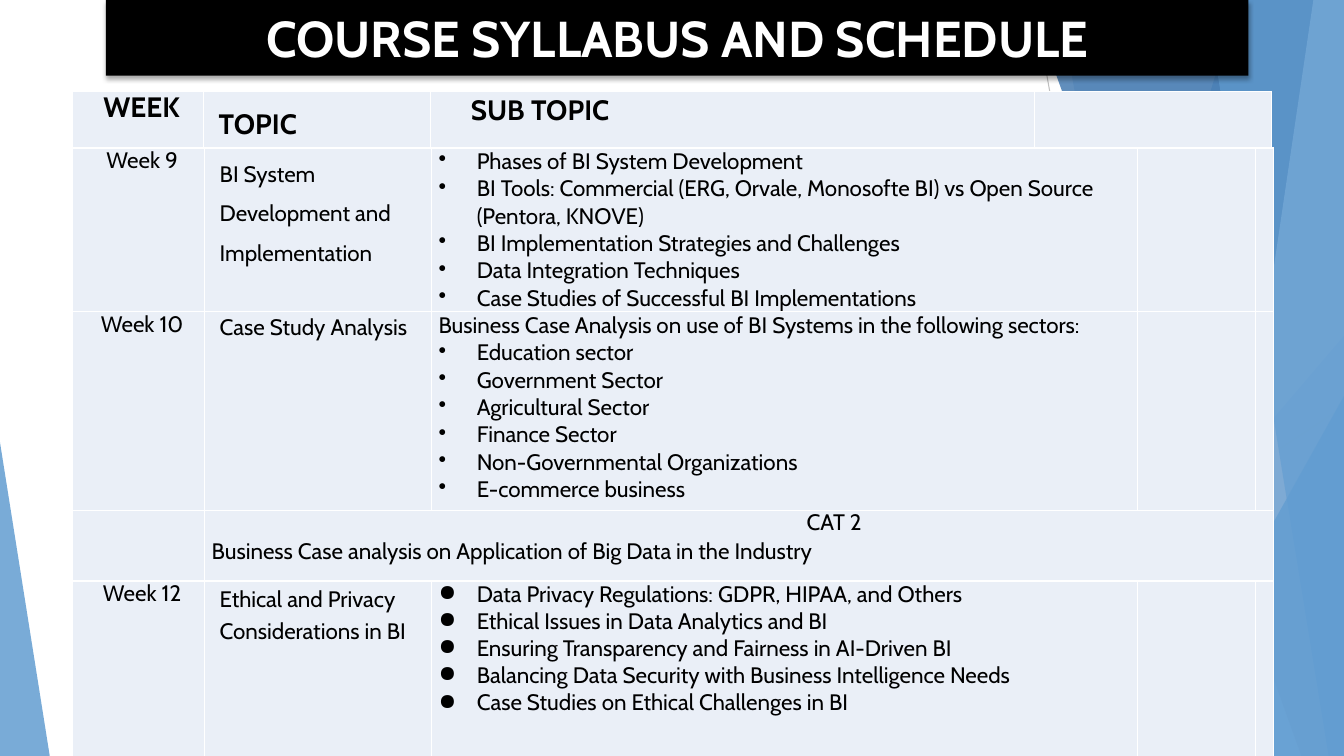
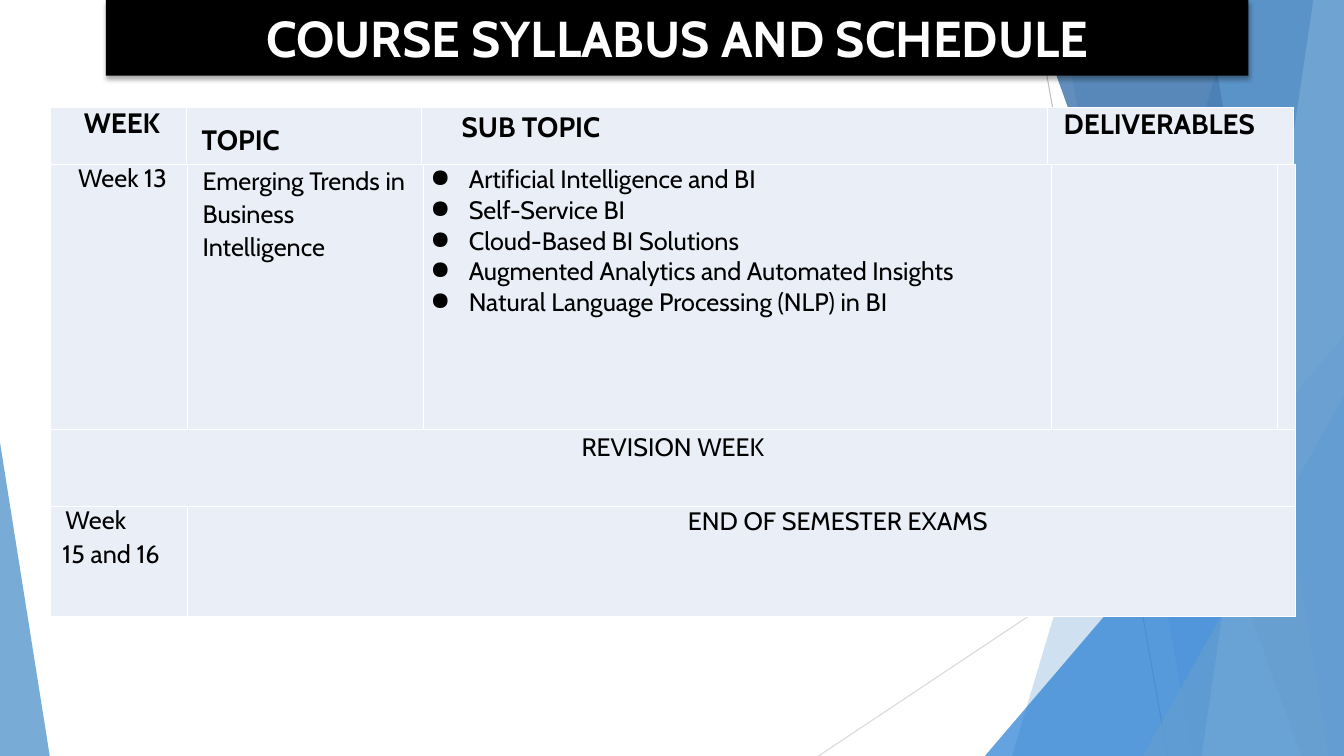
from dataclasses import dataclass
from typing import Optional

from lxml import etree
from pptx import Presentation
from pptx import util as u
from pptx.dml.color import RGBColor
from pptx.enum import shapes, text
from pptx.oxml import ns

WHITE = RGBColor(0xFF, 0xFF, 0xFF)
BLACK = RGBColor(0x00, 0x00, 0x00)
CELL = RGBColor(0xEA, 0xEF, 0xF7)
SKY = RGBColor(0x62, 0x9D, 0xD1)
AZURE = RGBColor(0x29, 0x7F, 0xD5)
NAVY = RGBColor(0x1F, 0x5F, 0xA0)
PALE = RGBColor(0xA1, 0xC4, 0xE3)
GREY = RGBColor(0xBF, 0xBF, 0xBF)
LIGHT_GREY = RGBColor(0xD9, 0xD9, 0xD9)

FONT = "Cabin"
TITLE = "COURSE SYLLABUS AND SCHEDULE"
SLIDE_W, SLIDE_H = u.Inches(13.33), u.Inches(7.5)
HEADER_H = 7.47
CENTER = text.PP_ALIGN.CENTER

# Places are percentages of the slide's width and height.
RAYS = [((76.9, 0), (86.88, 100), GREY), ((100, 53.73), (60.9, 100), LIGHT_GREY)]
# Left edge at the top and at the bottom; every pane reaches the right side.
BACK_PANES = [(92.1, 75.3, SKY, 30), (78.75, 88.75, SKY, 20)]
FRONT_PANES = [(76.58, 96.83, NAVY, 70), (97.72, 89.4, PALE, 70), (89.7, 98.85, SKY, 65)]


@dataclass
class Para:
    """One paragraph of a cell; left and hang are inches, before is points."""
    words: str
    left: float = 0
    spacing: float = 1
    before: float = 0
    align: Optional[int] = None
    hang: float = 0
    bullet: str = ""


def px(share):
    return round(SLIDE_W * share / 100)


def py(share):
    return round(SLIDE_H * share / 100)


def child(parent, tag, **attributes):
    return etree.SubElement(parent, ns.qn(tag), attributes)


def paint(shape, color, opacity=100):
    shape.shadow.inherit = False
    shape.line.fill.background()
    shape.fill.solid()
    shape.fill.fore_color.rgb = color
    if opacity < 100:
        tint = shape._element.spPr.find(".//" + ns.qn("a:srgbClr"))
        child(tint, "a:alpha", val=str(opacity * 1000))


def add_ray(slide, start, end, color):
    ray = slide.shapes.add_connector(
        shapes.MSO_CONNECTOR.STRAIGHT, px(start[0]), py(start[1]), px(end[0]), py(end[1]))
    ray.line.color.rgb = color
    ray.line.width = u.Pt(0.75)
    child(ray._element.spPr, "a:effectLst")


def add_pane(slide, top_x, bottom_x, color, opacity):
    outline = slide.shapes.build_freeform(px(top_x), 0, scale=1.0)
    outline.add_line_segments([(SLIDE_W, 0), (SLIDE_W, SLIDE_H), (px(bottom_x), SLIDE_H)])
    paint(outline.convert_to_shape(), color, opacity)


def add_wedge(slide, left, right, top, apex, color, opacity):
    """Triangle standing on the bottom edge of the slide."""
    wedge = slide.shapes.add_shape(
        shapes.MSO_SHAPE.ISOSCELES_TRIANGLE, px(left), py(top), px(right - left), py(100 - top))
    wedge.adjustments[0] = apex
    paint(wedge, color, opacity)


def add_backdrop(slide):
    for ray in RAYS:
        add_ray(slide, *ray)
    for pane in BACK_PANES:
        add_pane(slide, *pane)
    add_wedge(slide, 73.28, 100, 44.4, 1, AZURE, 72)
    for pane in FRONT_PANES:
        add_pane(slide, *pane)
    add_wedge(slide, 85.05, 100, 52.4, 1, SKY, 80)
    add_wedge(slide, 0, 3.7, 58.53, 0, SKY, 85)


def style_run(run, size, color, bold=False):
    run.font.name = FONT
    run.font.size = u.Pt(size)
    run.font.bold = bold
    run.font.color.rgb = color


def add_title_band(slide):
    band = slide.shapes.add_shape(
        shapes.MSO_SHAPE.RECTANGLE, px(7.88), 0, px(85), py(10))
    paint(band, BLACK)
    effects = band._element.spPr.find(ns.qn("a:effectLst"))
    shadow = child(effects, "a:outerShdw", blurRad=str(u.Pt(3.5)), dist=str(u.Pt(2.2)),
                   dir="5400000", algn="t", rotWithShape="0")
    child(child(shadow, "a:srgbClr", val=str(BLACK)), "a:alpha", val="32000")
    frame = band.text_frame
    frame.margin_top = frame.margin_bottom = 0
    frame.vertical_anchor = text.MSO_ANCHOR.MIDDLE
    frame.text = TITLE
    frame.paragraphs[0].alignment = CENTER
    style_run(frame.paragraphs[0].runs[0], 36, WHITE, True)


def style_cell(cell):
    cell.margin_left = cell.margin_right = u.Inches(0.07)
    cell.margin_top = cell.margin_bottom = 0
    cell.fill.solid()
    cell.fill.fore_color.rgb = CELL
    props = cell._tc.get_or_add_tcPr()
    for place, side in enumerate(("a:lnL", "a:lnR", "a:lnT", "a:lnB")):
        border = child(props, side, w=str(u.Pt(1)))
        child(child(border, "a:solidFill"), "a:srgbClr", val=str(WHITE))
        props.insert(place, border)


def write_cell(cell, paras, size, bold):
    frame = cell.text_frame
    frame.text = "\n".join(para.words for para in paras)
    for para, line in zip(paras, frame.paragraphs):
        line.alignment = para.align
        line.line_spacing = para.spacing
        line.space_before = u.Pt(para.before)
        props = line._p.get_or_add_pPr()
        props.set("marL", str(u.Inches(para.left)))
        props.set("indent", str(u.Inches(-para.hang)))
        if para.bullet:
            child(props, "a:buChar", char=para.bullet)
        for run in line.runs:
            style_run(run, size, BLACK, bold)


def add_grid(slide, box, widths, heights, rows, size, bold=False):
    """Table filling box; a row shorter than the grid spans its last cell to the end."""
    left, top, width, height = box
    grid = slide.shapes.add_table(
        len(heights), len(widths), px(left), py(top), px(width), py(height)).table
    grid.first_row = grid.horz_banding = False
    for column, share in zip(grid.columns, widths):
        column.width = round(px(width) * share / sum(widths))
    for row, share in zip(grid.rows, heights):
        row.height = round(py(height) * share / sum(heights))
    for cell in grid.iter_cells():
        style_cell(cell)
    for r, row in enumerate(rows):
        if len(row) < len(widths):
            grid.cell(r, len(row) - 1).merge(grid.cell(r, len(widths) - 1))
        for c, paras in enumerate(row):
            if paras:
                write_cell(grid.cell(r, c), paras, size, bold)


def week(words):
    return [Para(words, 0.07, 0.95, align=CENTER)]


def topic(words, spacing=1.07, before=1.6):
    return [Para(words, 0.08, spacing, before)]


def bullets(mark, spacing, *lines):
    return [Para(line, 0.38, spacing, hang=0.38, bullet=mark) for line in lines]


def add_schedule_slide(deck, box, header_widths, widths, heights, rows, size, last_heading=()):
    slide = deck.slides.add_slide(deck.slide_layouts[6])
    add_backdrop(slide)
    add_title_band(slide)
    left, top, width, height = box
    add_grid(slide, (left, top + HEADER_H, width, height - HEADER_H),
             widths, heights, rows, size)
    headings = [week("WEEK"), topic("TOPIC", 1.47, 0),
                [Para("SUB TOPIC", 0.33, 1.07, 1.5)], last_heading]
    add_grid(slide, (left, top, width, HEADER_H), header_widths, [1], [headings], 20, True)


WEEKS_9_TO_12 = [
    [week("Week 9"),
     topic("BI System Development and Implementation", 1.47, 0),
     bullets("•", 1.01,
             "Phases of BI System Development",
             "BI Tools: Commercial (ERG, Orvale, Monosofte BI) vs Open Source (Pentora, KNOVE)",
             "BI Implementation Strategies and Challenges",
             "Data Integration Techniques",
             "Case Studies of Successful BI Implementations"),
     [], []],
    [week("Week 10"),
     topic("Case Study Analysis", before=6.1),
     [Para("Business Case Analysis on use of BI Systems in the following sectors:", spacing=1.01)]
     + bullets("•", 1.01, "Education sector", "Government Sector", "Agricultural Sector",
               "Finance Sector", "Non-Governmental Organizations", "E-commerce business"),
     [], []],
    [[],
     [Para("CAT 2", 1.89, 0.95, align=CENTER),
      Para("Business Case analysis on Application of Big Data in the Industry", spacing=1.07)]],
    [week("Week 12"),
     topic("Ethical and Privacy Considerations in BI", 1.18),
     bullets("●", 1,
             "Data Privacy Regulations: GDPR, HIPAA, and Others",
             "Ethical Issues in Data Analytics and BI",
             "Ensuring Transparency and Fairness in AI-Driven BI",
             "Balancing Data Security with Business Intelligence Needs",
             "Case Studies on Ethical Challenges in BI"),
     [], []],
]

WEEKS_13_TO_16 = [
    [week("Week 13"),
     topic("Emerging Trends in Business Intelligence"),
     bullets("●", 1,
             "Artificial Intelligence and BI",
             "Self-Service BI",
             "Cloud-Based BI Solutions",
             "Augmented Analytics and Automated Insights",
             "Natural Language Processing (NLP) in BI"),
     [], []],
    [[Para("REVISION WEEK", spacing=1.07, align=CENTER)]],
    [[Para("Week", 0.08, 0.94), Para("15 and 16", 0.05, 1.07, 1.6)],
     [Para("END OF SEMESTER EXAMS", 1.91, align=CENTER)]],
]


def main():
    deck = Presentation()
    deck.slide_width, deck.slide_height = SLIDE_W, SLIDE_H
    add_schedule_slide(
        deck, (5.4, 12.1, 89.2, 87.9), [1.3, 2.25, 5.99, 2.35],
        [1.31, 2.25, 7, 1.17, 0.16], [1.62, 1.97, 0.7, 1.74], WEEKS_9_TO_12, 16)
    add_schedule_slide(
        deck, (3.75, 14.27, 92.5, 67.33), [1.35, 2.33, 6.21, 2.44],
        [1.36, 2.34, 6.23, 2.24, 0.16], [2.64, 0.76, 1.1], WEEKS_13_TO_16, 18,
        [Para("DELIVERABLES", 0.09)])
    deck.save("out.pptx")


if __name__ == "__main__":
    main()
